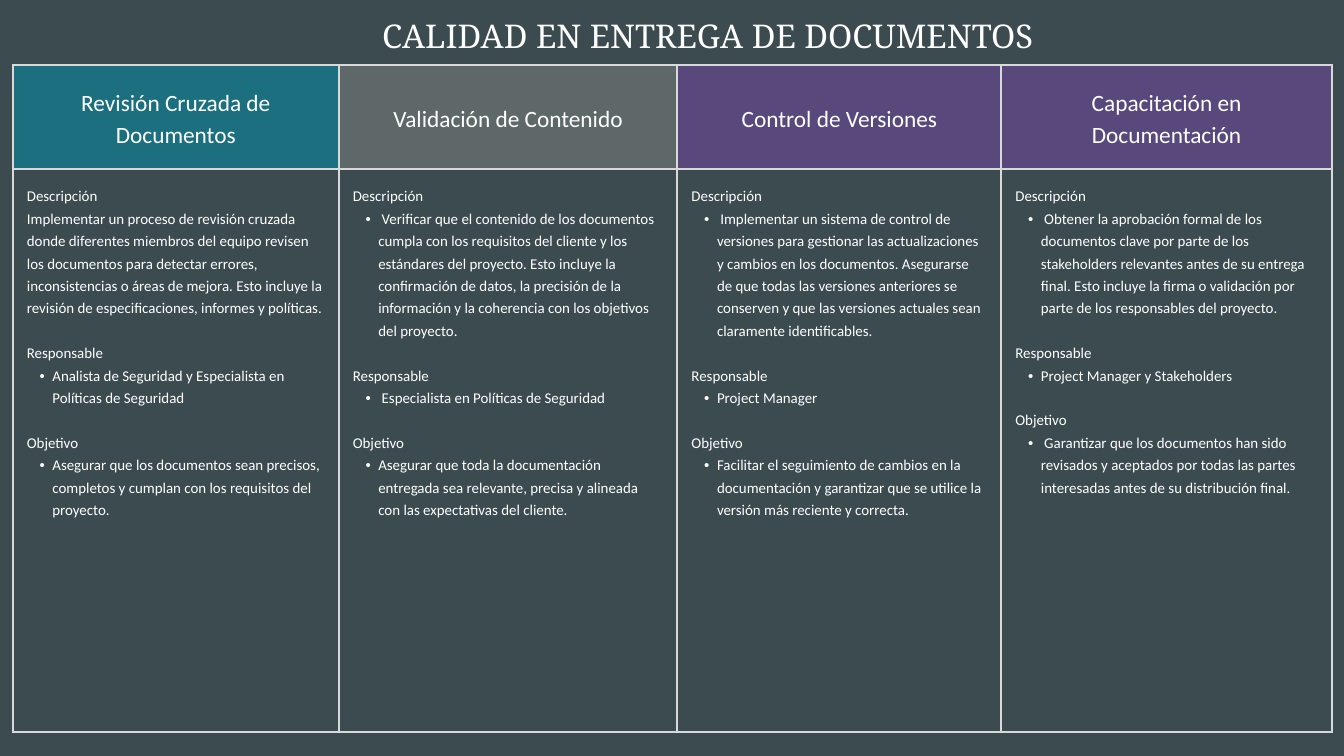
from lxml.etree import SubElement
from pptx import Presentation
from pptx.dml.color import RGBColor
from pptx.enum.text import MSO_ANCHOR, MSO_AUTO_SIZE, PP_ALIGN
from pptx.oxml import parse_xml
from pptx.oxml.ns import nsdecls, qn
from pptx.util import Inches, Pt

BACKGROUND = RGBColor(0x3C, 0x4B, 0x50)
WHITE = RGBColor(0xFF, 0xFF, 0xFF)
BORDER = RGBColor(0xD9, 0xD9, 0xD9)
TEAL = RGBColor(0x1B, 0x6F, 0x7E)
GRAY = RGBColor(0x5F, 0x68, 0x69)
PURPLE = RGBColor(0x59, 0x48, 0x7C)

TITLE_FONT = "Noto Serif"
BODY_FONT = "Calibri"
COLUMN_WIDTHS = [4.85, 5.04, 4.82, 4.92]
ROW_HEIGHTS = [1.55, 8.37]
SECTIONS = ["Descripción", "Responsable", "Objetivo"]

# Heading, fill, whether the description has a bullet, text of each section
PRACTICES = [
    ("Revisión Cruzada de Documentos", TEAL, False, [
        "Implementar un proceso de revisión cruzada donde diferentes miembros del equipo "
        "revisen los documentos para detectar errores, inconsistencias o áreas de mejora. "
        "Esto incluye la revisión de especificaciones, informes y políticas.",
        "Analista de Seguridad y Especialista en Políticas de Seguridad",
        "Asegurar que los documentos sean precisos, completos y cumplan con los "
        "requisitos del proyecto.",
    ]),
    ("Validación de Contenido", GRAY, True, [
        " Verificar que el contenido de los documentos cumpla con los requisitos del "
        "cliente y los estándares del proyecto. Esto incluye la confirmación de datos, la "
        "precisión de la información y la coherencia con los objetivos del proyecto.",
        " Especialista en Políticas de Seguridad",
        "Asegurar que toda la documentación entregada sea relevante, precisa y alineada "
        "con las expectativas del cliente.",
    ]),
    ("Control de Versiones", PURPLE, True, [
        " Implementar un sistema de control de versiones para gestionar las "
        "actualizaciones y cambios en los documentos. Asegurarse de que todas las "
        "versiones anteriores se conserven y que las versiones actuales sean claramente "
        "identificables.",
        "Project Manager",
        "Facilitar el seguimiento de cambios en la documentación y garantizar que se "
        "utilice la versión más reciente y correcta.",
    ]),
    ("Capacitación en Documentación", PURPLE, True, [
        " Obtener la aprobación formal de los documentos clave por parte de los "
        "stakeholders relevantes antes de su entrega final. Esto incluye la firma o "
        "validación por parte de los responsables del proyecto.",
        "Project Manager y Stakeholders",
        " Garantizar que los documentos han sido revisados y aceptados por todas las "
        "partes interesadas antes de su distribución final.",
    ]),
]


class Deck:
    """Holds the presentation, its current slide and the text style."""

    def __init__(self, width, height):
        self.prs = Presentation()
        self.prs.slide_width, self.prs.slide_height = Inches(width), Inches(height)
        self.slide = None

    def add_slide(self):
        self.slide = self.prs.slides.add_slide(self.prs.slide_layouts[5])
        fill = self.slide.background.fill
        fill.solid()
        fill.fore_color.rgb = BACKGROUND

    def add_text(self, p, text, size, spacing, font=BODY_FONT, align=PP_ALIGN.LEFT):
        p.alignment = align
        p.line_spacing = Pt(spacing)
        r = p.add_run()
        r.text = text
        r.font.size, r.font.name = Pt(size), font
        r.font.bold = False
        r.font.color.rgb = WHITE

    def bullet(self, p):
        p.level = 1
        pPr = p._p.get_or_add_pPr()
        pPr.set("marL", str(Inches(0.38)))
        pPr.set("indent", str(Inches(-0.19)))
        SubElement(pPr, qn("a:buFont")).set("typeface", "Arial")
        SubElement(pPr, qn("a:buChar")).set("char", "•")

    def title(self, text, left, top, width, height):
        sp = self.slide.shapes.title
        sp.left, sp.top = Inches(left), Inches(top)
        sp.width, sp.height = Inches(width), Inches(height)
        tf = sp.text_frame
        tf.margin_left = tf.margin_right = tf.margin_top = tf.margin_bottom = 0
        tf.vertical_anchor = MSO_ANCHOR.TOP
        tf.word_wrap = True
        tf.auto_size = MSO_AUTO_SIZE.NONE
        self.add_text(tf.paragraphs[0], text, 35, 49, TITLE_FONT, PP_ALIGN.CENTER)

    def table(self, left, top, widths, heights):
        frame = self.slide.shapes.add_table(
            len(heights), len(widths), Inches(left), Inches(top),
            Inches(sum(widths)), Inches(sum(heights)))
        table = frame.table
        table.first_row = table.horz_banding = False
        for column, width in zip(table.columns, widths):
            column.width = Inches(width)
        for row, height in zip(table.rows, heights):
            row.height = Inches(height)
        return table

    def format_cell(self, cell, anchor, color=None):
        """Set margins, anchor, fill (none without a colour) and borders."""
        cell.margin_left = cell.margin_right = Inches(0.21)
        cell.margin_top = cell.margin_bottom = Inches(0.21)
        cell.vertical_anchor = anchor
        if color is None:
            cell.fill.background()
        else:
            cell.fill.solid()
            cell.fill.fore_color.rgb = color
        tcPr = cell._tc.get_or_add_tcPr()
        for i, side in enumerate(["lnL", "lnR", "lnT", "lnB"]):
            tcPr.insert(i, parse_xml(
                f'<a:{side} {nsdecls("a")} w="{Pt(2.25)}"><a:solidFill>'
                f'<a:srgbClr val="{BORDER}"/></a:solidFill></a:{side}>'))

    def header_cell(self, cell, text, color):
        self.format_cell(cell, MSO_ANCHOR.MIDDLE, color)
        self.add_text(cell.text_frame.paragraphs[0], text, 25, 35, align=PP_ALIGN.CENTER)

    def detail_cell(self, cell, texts, bullet_first):
        self.format_cell(cell, MSO_ANCHOR.TOP)
        tf = cell.text_frame
        for i, (section, text) in enumerate(zip(SECTIONS, texts)):
            p = tf.add_paragraph() if i else tf.paragraphs[0]
            self.add_text(p, section, 16, 24)
            if i:
                p.space_before = Pt(24)
            p = tf.add_paragraph()
            self.add_text(p, text, 16, 24)
            if i or bullet_first:
                self.bullet(p)


def main():
    deck = Deck(20, 11.25)
    deck.add_slide()
    table = deck.table(0.19, 0.97, COLUMN_WIDTHS, ROW_HEIGHTS)
    for col, (heading, color, bullet_first, texts) in enumerate(PRACTICES):
        deck.header_cell(table.cell(0, col), heading, color)
        deck.detail_cell(table.cell(1, col), texts, bullet_first)
    deck.title("CALIDAD EN ENTREGA DE DOCUMENTOS", 4.93, 0.14, 11.21, 0.65)
    deck.prs.save("out.pptx")


if __name__ == "__main__":
    main()
